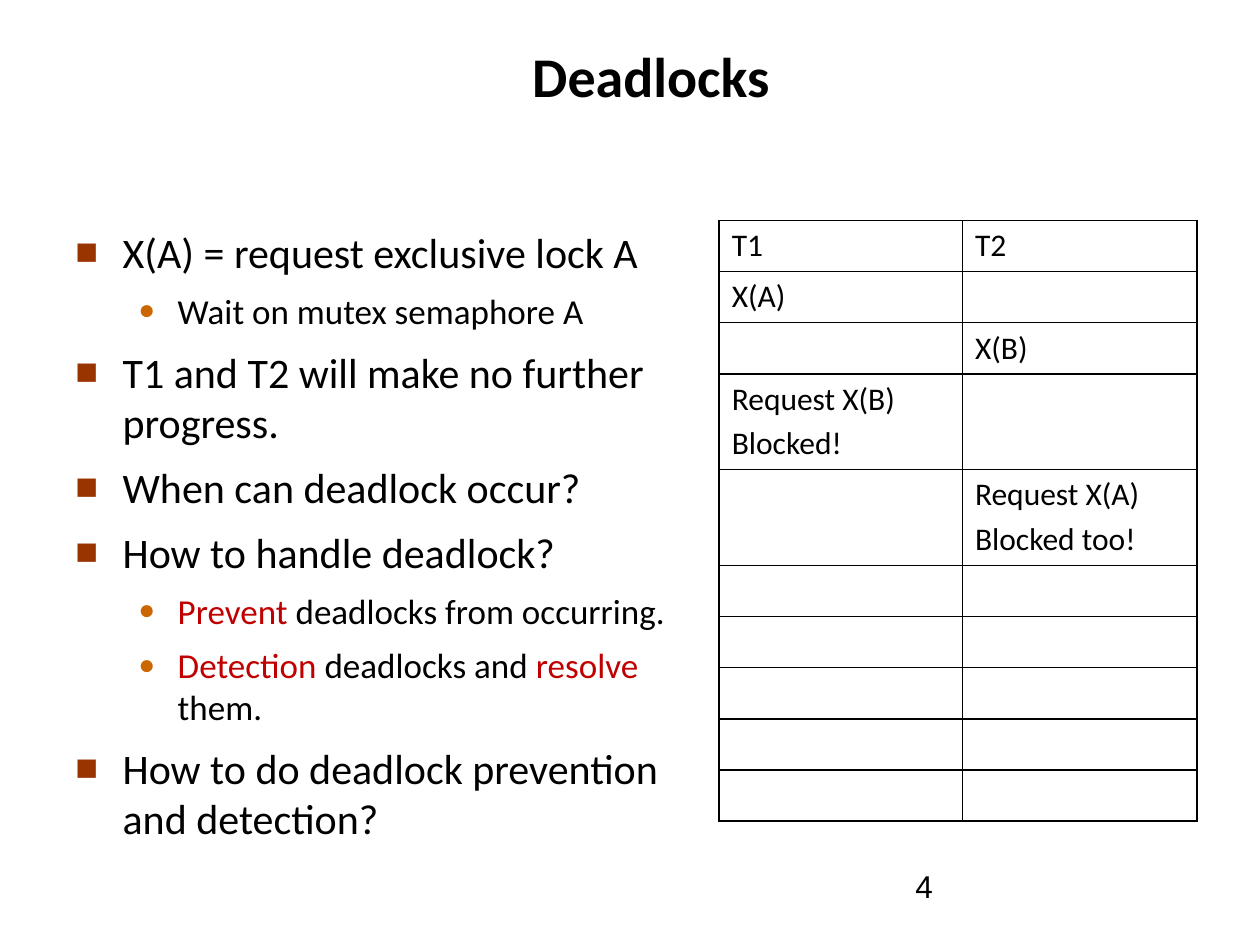
from lxml.etree import SubElement as Sub
from pptx import Presentation
from pptx.dml.color import RGBColor as RGB
from pptx.enum.text import MSO_ANCHOR as Anchor, MSO_AUTO_SIZE as Auto, PP_ALIGN as Align
from pptx.oxml.ns import qn
from pptx.util import Pt

BLACK, RED = "000000", "C00000"
# Per level: size, left margin, hanging indent, bullet, its colour and percent
LEVELS = [(24, 27, 27, "■", "993300", 90),
          (20, 58.5, 22.5, "●", "CC6600", 80)]
POINTS = [
    (0, [("X(A) = request exclusive lock A", BLACK)]),
    (1, [("Wait on mutex semaphore A", BLACK)]),
    (0, [("T1 and T2 will make no further progress.", BLACK)]),
    (0, [("When can deadlock occur?", BLACK)]),
    (0, [("How to handle deadlock?", BLACK)]),
    (1, [("Prevent", RED), (" deadlocks from occurring.", BLACK)]),
    (1, [("Detection", RED), (" deadlocks and", BLACK),
         (" resolve ", RED), ("them.", BLACK)]),
    (0, [("How to do deadlock prevention and detection?", BLACK)]),
]
STEPS = [("T1", "T2"), ("X(A)", ""), ("", "X(B)"),
         ("Request X(B)\nBlocked!", ""), ("", "Request X(A)\nBlocked too!")]
STEPS += [("", "")] * 5


def color(code):
    return RGB.from_string(code)


def style(font, size, name="Calibri", code=BLACK, bold=False):
    font.size, font.name, font.bold = Pt(size), name, bold
    font.color.rgb = color(code)


def add_title(slide, box, text):
    title = slide.shapes.title
    title.left, title.top, title.width, title.height = map(Pt, box)
    frame = title.text_frame
    frame.text = text
    frame.auto_size = Auto.NONE
    frame.vertical_anchor = Anchor.BOTTOM
    para = frame.paragraphs[0]
    para.alignment = Align.CENTER
    style(para.font, 32, bold=True)


def add_bullet(para, left, hang, mark, code, percent):
    props = para._p.get_or_add_pPr()
    props.set("marL", str(Pt(left)))
    props.set("indent", str(-Pt(hang)))
    tint = Sub(props, qn("a:buClr"))
    Sub(tint, qn("a:srgbClr"), val=code)
    Sub(props, qn("a:buSzPct"), val=str(percent * 1000))
    Sub(props, qn("a:buFont"), typeface="Arial")
    Sub(props, qn("a:buChar"), char=mark)


def add_points(slide, box, points):
    frame = slide.shapes.add_textbox(*map(Pt, box)).text_frame
    frame.word_wrap = True
    for i, (level, parts) in enumerate(points):
        para = frame.add_paragraph() if i else frame.paragraphs[0]
        size, *bullet = LEVELS[level]
        para.level = level
        para.space_before = Pt(0.35 * size if i else 0)
        add_bullet(para, *bullet)
        para.font.size, para.font.name = Pt(size), "Calibri"
        for text, code in parts:
            run = para.add_run()
            run.text = text
            run.font.color.rgb = color(code)


def add_borders(cell):
    props = cell._tc.get_or_add_tcPr()
    for side in "LRTB":
        line = Sub(props, qn("a:ln" + side), w=str(Pt(1)))
        fill = Sub(line, qn("a:solidFill"))
        Sub(fill, qn("a:srgbClr"), val=BLACK)


def add_steps(slide, box, rows):
    left, top, width, _ = box
    # Each row holds 22 pt per line, 3.6 pt between lines, 7.2 pt of margins
    heights = [7.2 + 22 + 25.6 * max(text.count("\n") for text in row) for row in rows]
    table = slide.shapes.add_table(
        len(rows), 2, Pt(left), Pt(top), Pt(width), Pt(sum(heights))).table
    table.first_row = table.horz_banding = False
    table.columns[0].width, table.columns[1].width = Pt(139), Pt(width - 139)
    for r, row in enumerate(rows):
        table.rows[r].height = Pt(heights[r])
        for c, text in enumerate(row):
            cell = table.cell(r, c)
            cell.text = text
            add_borders(cell)
            cell.fill.background()
            for i, para in enumerate(cell.text_frame.paragraphs):
                para.space_before = Pt(3.6 if i else 0)
                style(para.font, 18)


def add_number(slide, box, text):
    frame = slide.shapes.add_textbox(*map(Pt, box)).text_frame
    frame.word_wrap = True
    frame.text = text
    style(frame.paragraphs[0].font, 18, "Arial")


def main():
    deck = Presentation()
    deck.slide_width, deck.slide_height = Pt(720), Pt(540)
    slide = deck.slides.add_slide(deck.slide_layouts[5])
    add_title(slide, (54, 18, 636, 48), "Deadlocks")
    add_points(slide, (36, 126, 363, 356), POINTS)
    add_steps(slide, (411, 126, 273, 340), STEPS)
    add_number(slide, (516, 492, 168, 37.5), "4")
    deck.save("out.pptx")


if __name__ == "__main__":
    main()
